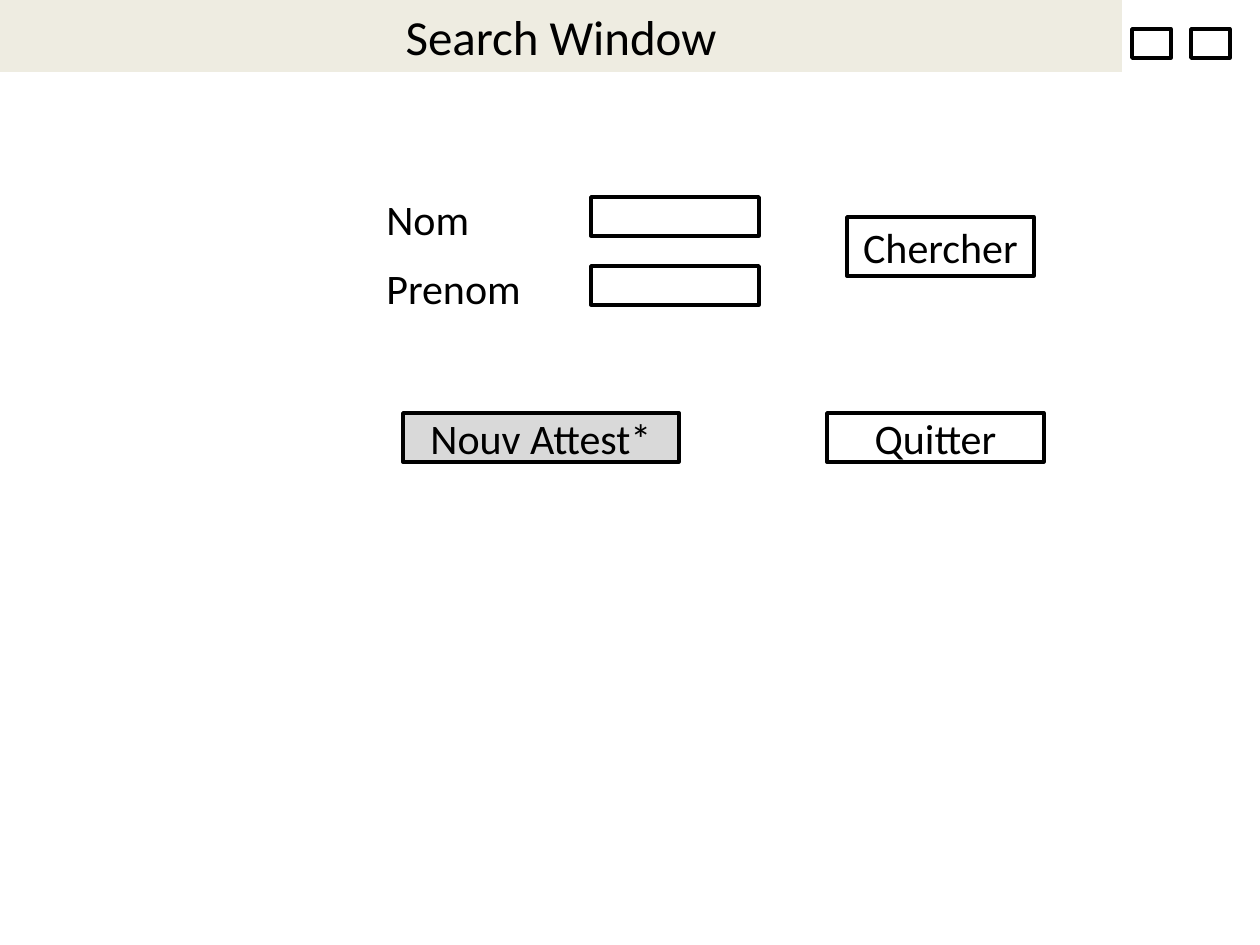
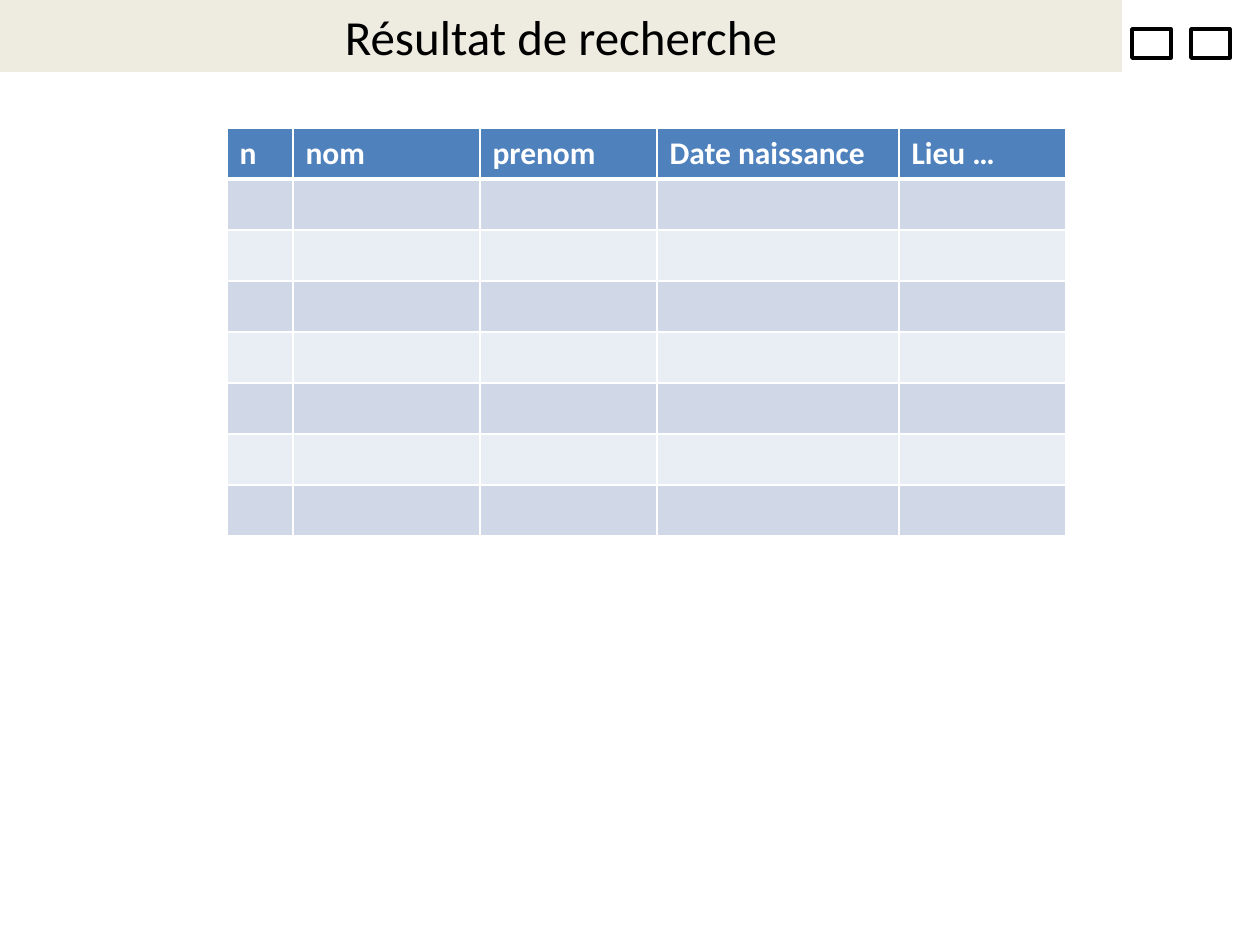
from dataclasses import dataclass

from lxml.etree import SubElement
from pptx import Presentation
from pptx.dml.color import RGBColor
from pptx.enum.shapes import MSO_SHAPE
from pptx.enum.text import MSO_ANCHOR, PP_ALIGN
from pptx.oxml.ns import qn
from pptx.util import Emu, Pt

# Content
SEARCH_TITLE = "Search Window"
SEARCH_FIELDS = ["Nom", "Prenom"]
RESULT_TITLE = "Résultat de recherche"
RESULT_COLUMNS = [("n", 66), ("nom", 187), ("prenom", 177),
                  ("Date naissance", 242), ("Lieu …", 167)]
RESULT_ROWS = 7


@dataclass(frozen=True)
class Theme:
    font: str = "Calibri"
    ink: str = "000000"
    paper: str = "FFFFFF"
    banner: str = "EEECE1"
    highlight: str = "D9D9D9"
    header: str = "4F81BD"
    bands: tuple = ("D0D8E8", "E9EDF4")
    title_size: int = 28
    label_size: int = 24
    table_size: int = 18
    outline: int = 2
    grid: int = 1
    header_rule: int = 3


THEME = Theme()
BUTTONS = [  # caption, left, top, width, height, fill
    ("Nouv Attest*", 403, 413, 276, 49, THEME.highlight),
    ("Quitter", 827, 413, 217, 49, THEME.paper),
    ("Chercher", 847, 217, 187, 59, THEME.paper),
]
SLIDE_W, SLIDE_H = 1260, 945
PX = 914400 / 126


def px(*lengths):
    return [Emu(round(length * PX)) for length in lengths]


def write(frame, text, size, color=THEME.ink, align=PP_ALIGN.LEFT, bold=False):
    paragraph = frame.paragraphs[0]
    paragraph.alignment = align
    run = paragraph.add_run()
    run.text = text
    run.font.name = THEME.font
    run.font.size = Pt(size)
    run.font.bold = bold
    run.font.color.rgb = RGBColor.from_string(color)


def add_box(slide, bounds, fill=THEME.paper, outlined=True, text="",
            size=THEME.label_size, anchor=MSO_ANCHOR.MIDDLE):
    box = slide.shapes.add_shape(MSO_SHAPE.RECTANGLE, *px(*bounds))
    box.shadow.inherit = False
    box.fill.solid()
    box.fill.fore_color.rgb = RGBColor.from_string(fill)
    if outlined:
        box.line.color.rgb = RGBColor.from_string(THEME.ink)
        box.line.width = Pt(THEME.outline)
    else:
        box.line.fill.background()
    if text:
        box.text_frame.word_wrap = True
        box.text_frame.vertical_anchor = anchor
        write(box.text_frame, text, size, align=PP_ALIGN.CENTER)


def add_label(slide, bounds, text):
    label = slide.shapes.add_textbox(*px(*bounds))
    label.text_frame.word_wrap = True
    write(label.text_frame, text, THEME.label_size)


def add_window(deck, title):
    """A blank slide with its title banner and two window controls."""
    slide = deck.slides.add_slide(deck.slide_layouts[6])
    add_box(slide, (0, 0, 1122, 72), THEME.banner, False, title,
            THEME.title_size, MSO_ANCHOR.TOP)
    for control in range(2):
        add_box(slide, (1132 + 59 * control, 29, 39, 29))
    return slide


def style_cell(cell, fill, top, bottom):
    properties = cell._tc.get_or_add_tcPr()
    for side, width in (("L", THEME.grid), ("R", THEME.grid), ("T", top), ("B", bottom)):
        border = SubElement(properties, qn(f"a:ln{side}"), w=str(Pt(width)))
        SubElement(SubElement(border, qn("a:solidFill")), qn("a:srgbClr"), val=THEME.paper)
    cell.fill.solid()
    cell.fill.fore_color.rgb = RGBColor.from_string(fill)


deck = Presentation()
deck.slide_width, deck.slide_height = px(SLIDE_W, SLIDE_H)

# Search form: one label and one input per row
search = add_window(deck, SEARCH_TITLE)
for index, field in enumerate(SEARCH_FIELDS):
    offset = 69 * index
    add_label(search, (374, 187 + offset, 187, 63), field)
    add_box(search, (591, 197 + offset, 168, 39))
for caption, left, top, width, height, fill in BUTTONS:
    add_box(search, (left, top, width, height), fill, text=caption)

# Result table: header above banded empty rows
results = add_window(deck, RESULT_TITLE)
ROW_HEIGHT = 51
row_count = RESULT_ROWS + 1
table_width = sum(width for _, width in RESULT_COLUMNS)
result_table = results.shapes.add_table(
    row_count, len(RESULT_COLUMNS),
    *px(227, 128, table_width, ROW_HEIGHT * row_count)).table
for row in range(row_count):
    result_table.rows[row].height = px(ROW_HEIGHT)[0]
    fill = THEME.bands[(row - 1) % 2] if row else THEME.header
    top = THEME.header_rule if row == 1 else THEME.grid
    bottom = THEME.header_rule if row == 0 else THEME.grid
    for column in range(len(RESULT_COLUMNS)):
        style_cell(result_table.cell(row, column), fill, top, bottom)
for column, (heading, width) in enumerate(RESULT_COLUMNS):
    result_table.columns[column].width = px(width)[0]
    write(result_table.cell(0, column).text_frame, heading,
          THEME.table_size, THEME.paper, bold=True)

deck.save("out.pptx")
